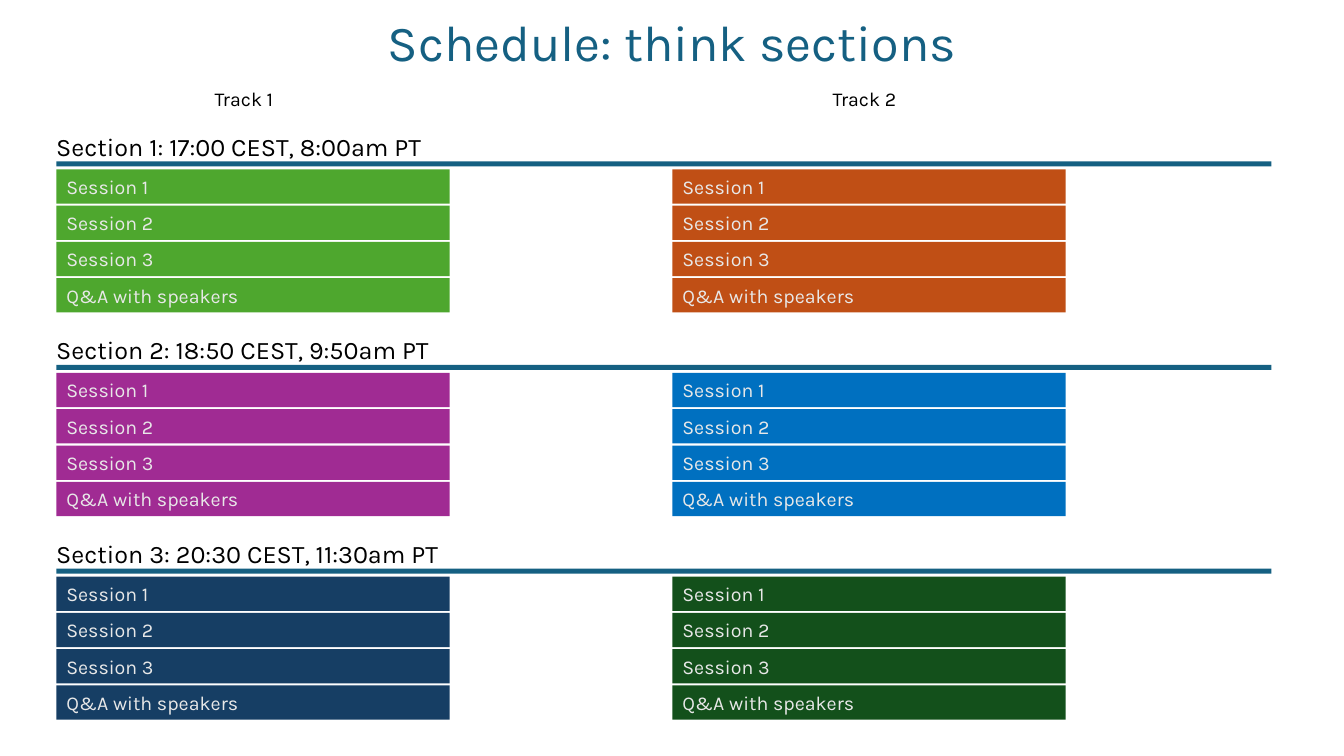
from dataclasses import dataclass

from pptx import Presentation
from pptx.dml.color import RGBColor
from pptx.enum import shapes, text
from pptx.util import Inches, Pt


@dataclass(frozen=True)
class Theme:
    font: str = "Karla"
    accent: str = "156082"
    ink: str = "000000"
    light: str = "E8E8E8"
    title_size: int = 36
    heading_size: int = 18
    body_size: int = 14


THEME = Theme()

# Schedule content: heading, then one colour per track
SECTIONS = [
    ("Section 1: 17:00 CEST, 8:00am PT", ("4EA72E", "C04F15")),
    ("Section 2: 18:50 CEST, 9:50am PT", ("A02B93", "0070C0")),
    ("Section 3: 20:30 CEST, 11:30am PT", ("163E64", "13501B")),
]
SESSIONS = ["Session 1", "Session 2", "Session 3", "Q&A with speakers"]

# Layout in inches
LEFT = 0.56
TRACK_LEFTS = (LEFT, 6.67)
LABEL_LEFTS = (2.03, 8.16)
SECTION_TOP, SECTION_PITCH = 1.25, 2.02
RULE_OFFSET, SESSION_OFFSET = 0.35, 0.43
SESSION_PITCH = 0.36


def write(shape, words, size, color, align=text.PP_ALIGN.LEFT):
    tf = shape.text_frame
    tf.word_wrap = True
    tf.auto_size = text.MSO_AUTO_SIZE.SHAPE_TO_FIT_TEXT
    p = tf.paragraphs[0]
    p.text = words
    p.alignment = align
    p.font.name = THEME.font
    p.font.size = Pt(size)
    p.font.color.rgb = RGBColor.from_string(color)


def add_label(s, words, left, top, width, height, size,
              color=THEME.ink, align=text.PP_ALIGN.LEFT):
    box = s.shapes.add_textbox(
        Inches(left), Inches(top), Inches(width), Inches(height))
    write(box, words, size, color, align)


def add_bar(s, left, top, width, height, fill):
    bar = s.shapes.add_shape(
        shapes.MSO_SHAPE.RECTANGLE,
        Inches(left), Inches(top), Inches(width), Inches(height))
    bar.shadow.inherit = False
    bar.fill.solid()
    bar.fill.fore_color.rgb = RGBColor.from_string(fill)
    bar.line.fill.background()
    return bar


def add_track(s, left, top, fill):
    for i, session in enumerate(SESSIONS):
        bar = add_bar(s, left, top + i * SESSION_PITCH, 3.9, 0.34, fill)
        write(bar, session, THEME.body_size, THEME.light)


def add_section(s, top, heading, fills):
    add_bar(s, LEFT, top + RULE_OFFSET, 12.05, 0.05, THEME.accent)
    add_label(s, heading, LEFT - 0.1, top, 6.4, 0.4, THEME.heading_size)
    for left, fill in zip(TRACK_LEFTS, fills):
        add_track(s, left, top + SESSION_OFFSET, fill)


def main():
    prs = Presentation()
    prs.slide_width, prs.slide_height = Inches(13.33), Inches(7.5)
    s = prs.slides.add_slide(prs.slide_layouts[6])

    # Title and track names
    add_label(s, "Schedule: think sections", 2.42, 0.06, 8.49, 0.71,
              THEME.title_size, THEME.accent, text.PP_ALIGN.CENTER)
    for number, left in enumerate(LABEL_LEFTS, 1):
        add_label(s, f"Track {number}", left, 0.81, 2.65, 0.34,
                  THEME.body_size)

    # Sections with their sessions
    for i, (heading, fills) in enumerate(SECTIONS):
        add_section(s, SECTION_TOP + i * SECTION_PITCH, heading, fills)

    prs.save("out.pptx")


if __name__ == "__main__":
    main()
